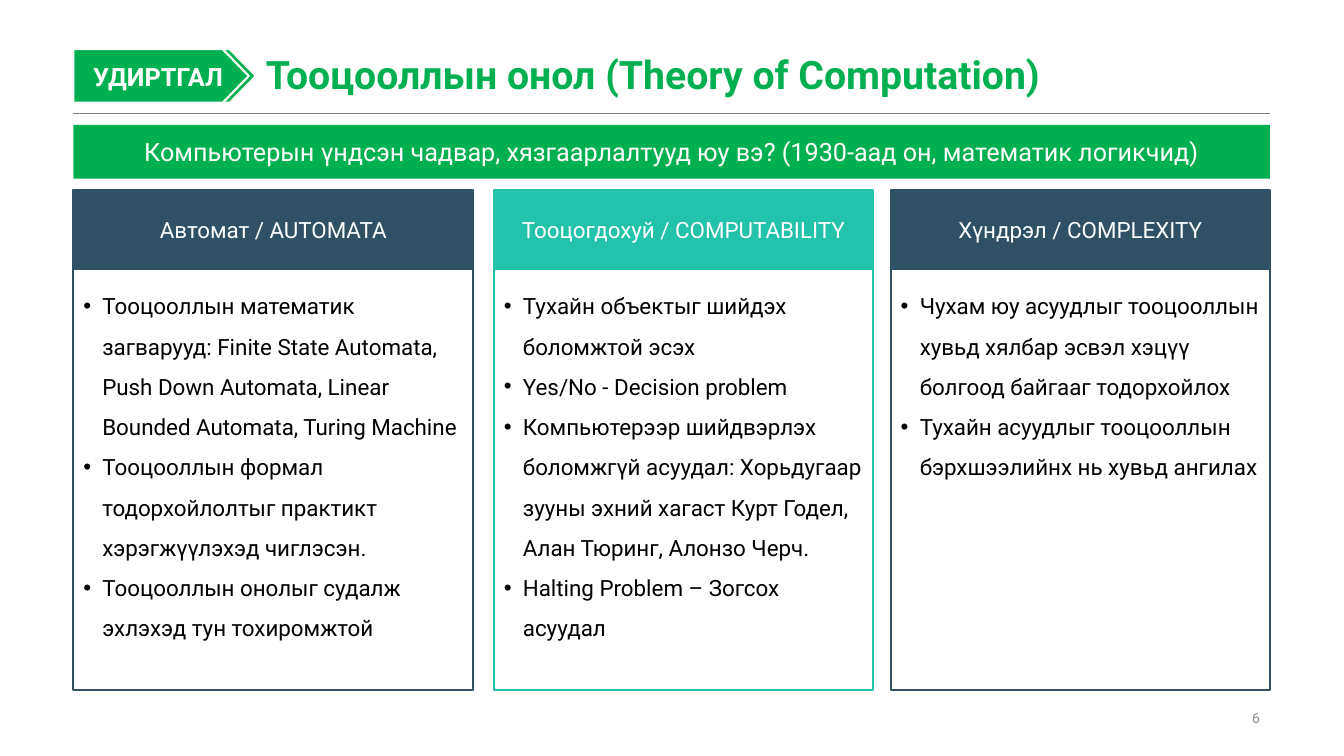
"""Build the slide that introduces the theory of computation."""
from lxml import etree
from pptx import Presentation
from pptx.dml.color import RGBColor
from pptx.enum.shapes import MSO_CONNECTOR, MSO_SHAPE
from pptx.enum.text import MSO_ANCHOR, PP_ALIGN
from pptx.oxml.ns import qn
from pptx.util import Cm, Pt

RECTANGLE = MSO_SHAPE.RECTANGLE
ARROW_TAG = MSO_SHAPE.PENTAGON
STRAIGHT = MSO_CONNECTOR.STRAIGHT
TOP, MIDDLE, BOTTOM = MSO_ANCHOR.TOP, MSO_ANCHOR.MIDDLE, MSO_ANCHOR.BOTTOM
LEFT, CENTER, RIGHT = PP_ALIGN.LEFT, PP_ALIGN.CENTER, PP_ALIGN.RIGHT

FONT = "Roboto"
COLORS = {
    "green": "00B050",
    "navy": "305065",
    "teal": "23C2AA",
    "white": "FFFFFF",
    "black": "000000",
    "rule": "808080",
    "number": "8C8C8C",
}
MARGIN, CONTENT_WIDTH = 1.85, 30.15
TITLE_TOP, BAR_HEIGHT = 1.24, 1.35
HEADER_TOP, HEADER_HEIGHT = 4.79, 1.98
BODY_TOP, BODY_HEIGHT = 6.78, 10.62
BULLET_INDENT = 0.48
DEFAULT_INSETS = (0.25, 0.13, 0.25, 0.13)

COLUMNS = [
    (1.85, 10.08, "navy", "Автомат / AUTOMATA", [
        "Тооцооллын математик загварууд: Finite State Automata, "
        "Push Down Automata, Linear Bounded Automata, Turing Machine",
        "Тооцооллын формал тодорхойлолтыг практикт хэрэгжүүлэхэд чиглэсэн.",
        "Тооцооллын онолыг судалж эхлэхэд тун тохиромжтой",
    ]),
    (12.45, 9.55, "teal", "Тооцогдохуй / COMPUTABILITY", [
        "Тухайн объектыг шийдэх боломжтой эсэх",
        "Yes/No - Decision problem",
        "Компьютерээр шийдвэрлэх боломжгүй асуудал: Хорьдугаар зууны "
        "эхний хагаст Курт Годел, Алан Тюринг, Алонзо Черч.",
        "Halting Problem – Зогсох асуудал",
    ]),
    (22.45, 9.55, "navy", "Хүндрэл / COMPLEXITY", [
        "Чухам юу асуудлыг тооцооллын хувьд хялбар эсвэл хэцүү "
        "болгоод байгааг тодорхойлох",
        "Тухайн асуудлыг тооцооллын бэрхшээлийнх нь хувьд ангилах",
    ]),
]


def color(name):
    """Return the named palette colour."""
    return RGBColor.from_string(COLORS[name])


def write_text(box, lines, size, ink, align=LEFT, anchor=MIDDLE, bold=False,
               insets=DEFAULT_INSETS, spacing=1.0):
    """Fill a box with equally styled paragraphs and return them."""
    frame = box.text_frame
    frame.word_wrap = True
    frame.vertical_anchor = anchor
    (frame.margin_left, frame.margin_top,
     frame.margin_right, frame.margin_bottom) = map(Cm, insets)
    frame.text = "\n".join(lines)
    for para in frame.paragraphs:
        para.alignment = align
        para.line_spacing = spacing
        para.font.name = FONT
        para.font.size = Pt(size)
        para.font.bold = bold
        para.font.color.rgb = color(ink)
    return frame.paragraphs


def add_bullet(para):
    """Give a paragraph a hanging round bullet."""
    properties = para._p.get_or_add_pPr()
    properties.set("marL", str(Cm(BULLET_INDENT)))
    properties.set("indent", str(-Cm(BULLET_INDENT)))
    bullet_font = etree.SubElement(properties, qn("a:buFont"))
    bullet_font.set("typeface", "Arial")
    bullet = etree.SubElement(properties, qn("a:buChar"))
    bullet.set("char", "•")
    defaults = properties.find(qn("a:defRPr"))
    if defaults is not None:
        properties.append(defaults)


def add_panel(page, kind, left, top, width, height, fill=None, outline=None):
    """Add a flat preset shape with optional fill and outline."""
    panel = page.shapes.add_shape(kind, Cm(left), Cm(top), Cm(width), Cm(height))
    panel.shadow.inherit = False
    if fill:
        panel.fill.solid()
        panel.fill.fore_color.rgb = color(fill)
    else:
        panel.fill.background()
    if outline:
        panel.line.color.rgb = color(outline)
        panel.line.width = Pt(1.5)
    else:
        panel.line.fill.background()
    return panel


def add_label(page, left, top, width, height, text, size, ink, **style):
    """Add a text box holding one paragraph."""
    box = page.shapes.add_textbox(Cm(left), Cm(top), Cm(width), Cm(height))
    write_text(box, [text], size, ink, **style)


def add_rule(page, top):
    """Add the thin horizontal line below the title."""
    rule = page.shapes.add_connector(
        STRAIGHT, Cm(MARGIN), Cm(top), Cm(MARGIN + CONTENT_WIDTH), Cm(top))
    rule.line.color.rgb = color("rule")
    rule.line.width = Pt(0.25)
    etree.SubElement(rule._element.spPr, qn("a:effectLst"))


def add_section_tag(page, text):
    """Add the layered arrow tag that names the section."""
    for width in (4.6, 4.42):
        tag = add_panel(page, ARROW_TAG, MARGIN, TITLE_TOP, width, BAR_HEIGHT,
                        "green", "white")
        tag.adjustments[0] = 0.486
    write_text(tag, [text], 18, "white", bold=True,
               insets=(0.5, 0.13, 0.25, 0.13))


def add_column(page, left, width, tone, heading, points):
    """Add a topic column with its heading and bulleted body."""
    body = add_panel(page, RECTANGLE, left, BODY_TOP, width, BODY_HEIGHT,
                     outline=tone)
    paragraphs = write_text(body, points, 16, "black", anchor=TOP, spacing=1.5,
                            insets=(0.25, 0.25, 0.25, 0.13))
    for para in paragraphs:
        add_bullet(para)
    header = add_panel(page, RECTANGLE, left, HEADER_TOP, width, HEADER_HEIGHT,
                       tone, tone)
    write_text(header, [heading], 16, "white", align=CENTER, insets=(0.13,) * 4)


def main():
    """Compose and save the deck."""
    deck = Presentation()
    deck.slide_width, deck.slide_height = Cm(33.87), Cm(19.05)
    page = deck.slides.add_slide(deck.slide_layouts[6])
    add_rule(page, 2.85)
    add_section_tag(page, "УДИРТГАЛ")
    add_label(page, 6.45, TITLE_TOP, 25.55, BAR_HEIGHT,
              "Тооцооллын онол (Theory of Computation)", 28, "green",
              anchor=BOTTOM, bold=True, spacing=0.9)
    banner = add_panel(page, ARROW_TAG, MARGIN, 3.15, CONTENT_WIDTH, BAR_HEIGHT,
                       "green")
    banner.adjustments[0] = 0
    write_text(banner, ["Компьютерын үндсэн чадвар, хязгаарлалтууд юу вэ? "
                        "(1930-аад он, математик логикчид)"],
               18, "white", align=CENTER)
    for column in COLUMNS:
        add_column(page, *column)
    add_label(page, 23.92, 17.8, 8.08, 0.59, "6", 10, "number", align=RIGHT)
    deck.save("out.pptx")


if __name__ == "__main__":
    main()
